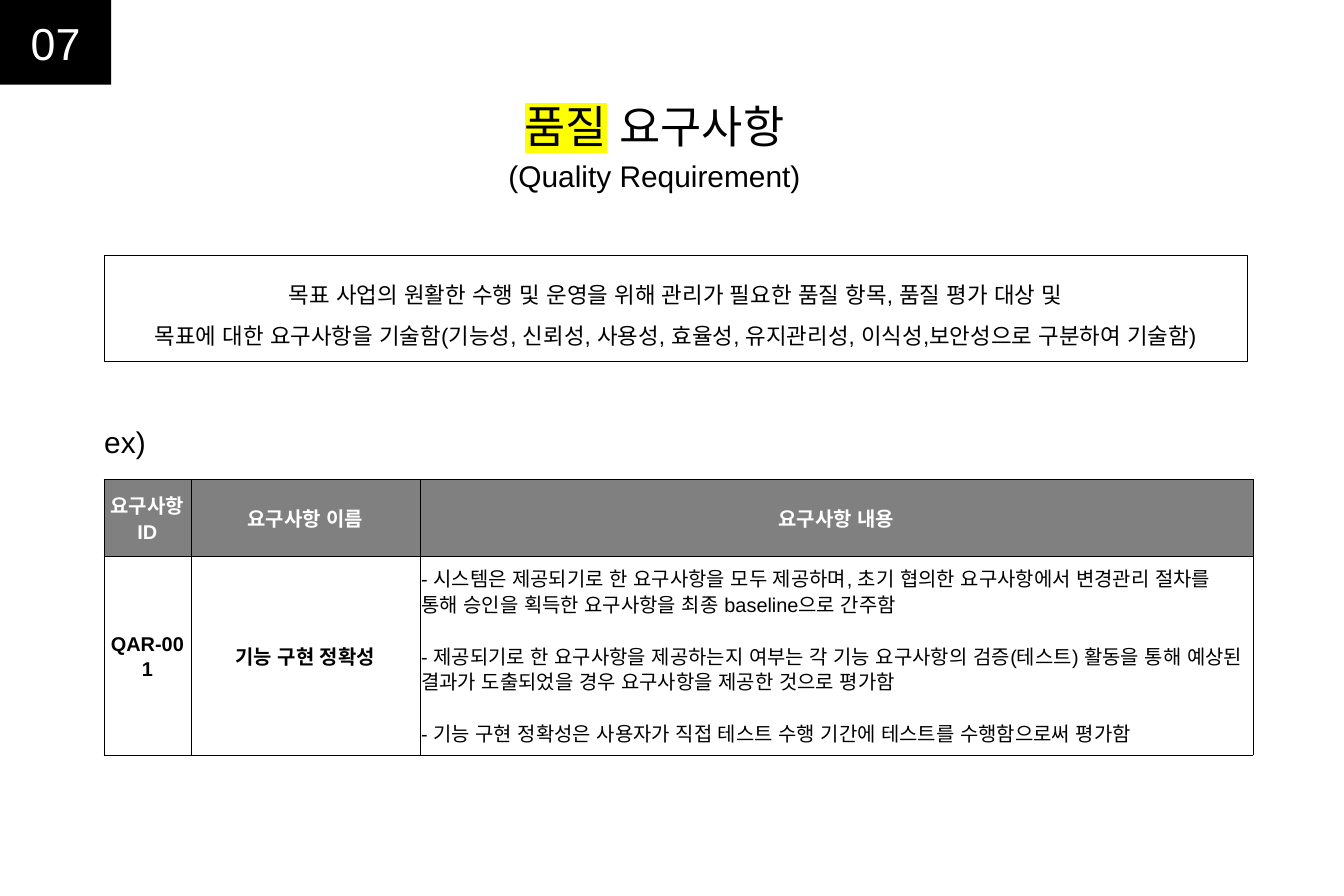
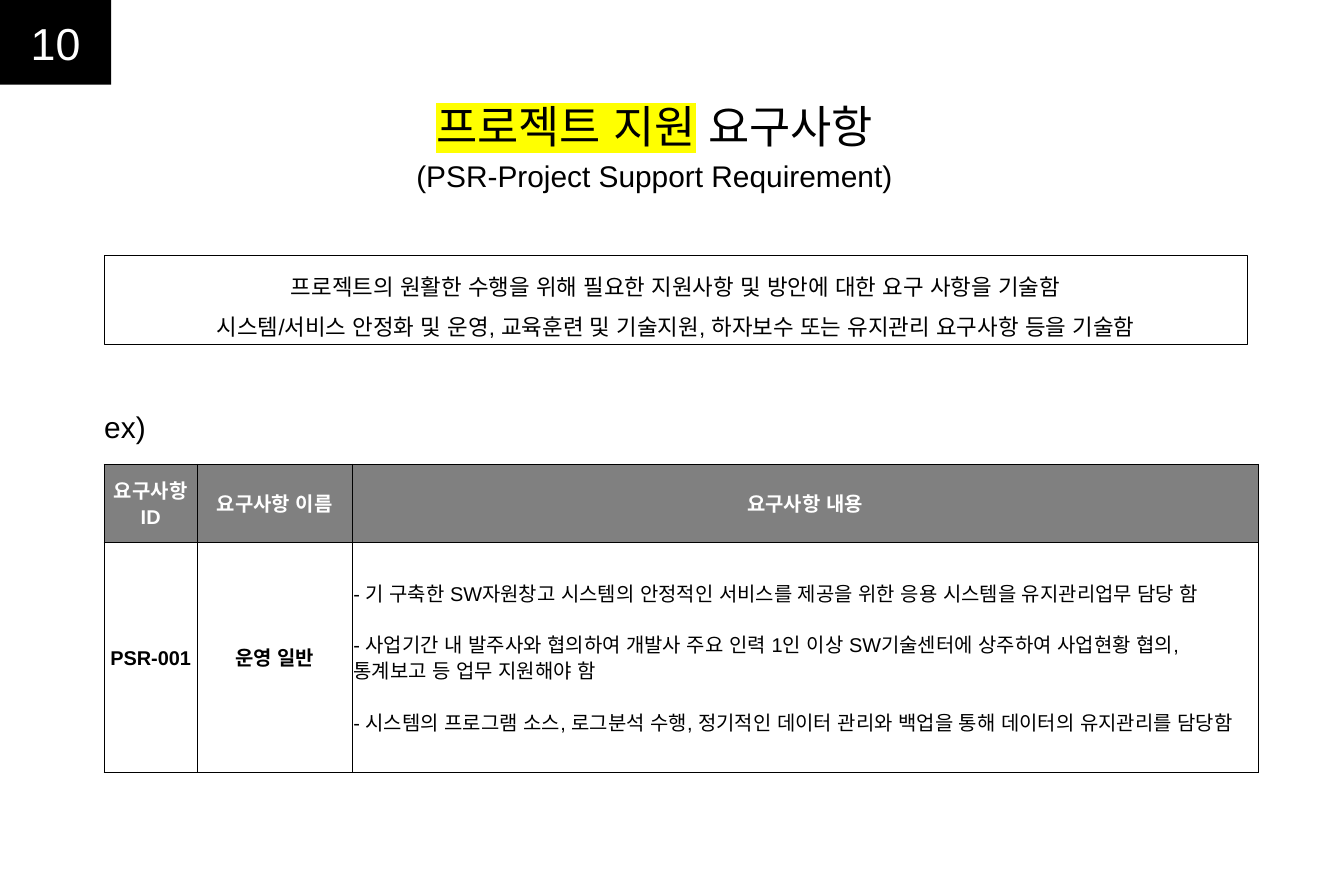
import pptx
import pptx.dml.color
import pptx.enum.shapes
import pptx.enum.text
import pptx.oxml
import pptx.oxml.ns
import pptx.util

Cm = pptx.util.Cm
Pt = pptx.util.Pt
RGB = pptx.dml.color.RGBColor.from_string
CENTER = pptx.enum.text.PP_ALIGN.CENTER
LEFT = pptx.enum.text.PP_ALIGN.LEFT
MIDDLE = pptx.enum.text.MSO_ANCHOR.MIDDLE
TOP = pptx.enum.text.MSO_ANCHOR.TOP
RECTANGLE = pptx.enum.shapes.MSO_SHAPE.RECTANGLE
NAMESPACE = pptx.oxml.ns.nsdecls("a")

THEME = {
    "font": "Arial",
    "black": "000000",
    "white": "FFFFFF",
    "header": "808080",
    "highlight": "FFFF00",
    "border": 0.75,
    "title": 72,
    "subtitle": 48,
    "summary": 36,
    "table": 32,
}

HEADERS = ["요구사항 ID", "요구사항 이름", "요구사항 내용"]
LEFT_EDGE = 5.89
EXAMPLE_HEIGHT = 3.4

SLIDES = [
    {
        "number": "07",
        "topic": "품질",
        "subtitle": "(Quality Requirement)",
        "summary": [
            "목표 사업의 원활한 수행 및 운영을 위해 관리가 필요한 품질 항목, 품질 평가 대상 및",
            "목표에 대한 요구사항을 기술함(기능성, 신뢰성, 사용성, 효율성, 유지관리성, 이식성,보안성으로 구분하여 기술함)",
        ],
        "summary_height": 6.05,
        "example_top": 23.77,
        "columns": [4.93, 12.98, 47.24],
        "rows": [4.37, 10.92],
        "id": "QAR-001",
        "name": "기능 구현 정확성",
        "details": [
            "- 시스템은 제공되기로 한 요구사항을 모두 제공하며, 초기 협의한 요구사항에서 변경관리 절차를 통해 승인을 획득한 요구사항을 최종 baseline으로 간주함",
            "- 제공되기로 한 요구사항을 제공하는지 여부는 각 기능 요구사항의 검증(테스트) 활동을 통해 예상된 결과가 도출되었을 경우 요구사항을 제공한 것으로 평가함",
            "- 기능 구현 정확성은 사용자가 직접 테스트 수행 기간에 테스트를 수행함으로써 평가함",
        ],
    },
    {
        "number": "10",
        "topic": "프로젝트 지원",
        "subtitle": "(PSR-Project Support Requirement)",
        "summary": [
            "프로젝트의 원활한 수행을 위해 필요한 지원사항 및 방안에 대한 요구 사항을 기술함",
            "시스템/서비스 안정화 및 운영, 교육훈련 및 기술지원, 하자보수 또는 유지관리 요구사항 등을 기술함",
        ],
        "summary_height": 5.08,
        "example_top": 22.91,
        "columns": [5.31, 8.76, 51.36],
        "rows": [4.42, 13.06],
        "id": "PSR-001",
        "name": "운영 일반",
        "details": [
            "- 기 구축한 SW자원창고 시스템의 안정적인 서비스를 제공을 위한 응용 시스템을 유지관리업무 담당 함",
            "- 사업기간 내 발주사와 협의하여 개발사 주요 인력 1인 이상 SW기술센터에 상주하여 사업현황 협의, 통계보고 등 업무 지원해야 함",
            "- 시스템의 프로그램 소스, 로그분석 수행, 정기적인 데이터 관리와 백업을 통해 데이터의 유지관리를 담당함",
        ],
    },
]


def write_text(frame, lines, size, color="black", bold=False, gap=0, **paragraph_format):
    """Write one paragraph per line, with a gap in points between paragraphs."""
    for index, line in enumerate(lines):
        paragraph = frame.paragraphs[0] if index == 0 else frame.add_paragraph()
        if index and gap:
            paragraph.space_before = Pt(gap)
        for name, value in paragraph_format.items():
            setattr(paragraph, name, value)
        run = paragraph.add_run()
        run.text = line
        style_run(run, size, color, bold)


def style_run(run, size, color="black", bold=False, highlight=None):
    """Set the font for Latin and Korean text, and mark the run if asked."""
    for name, value in {"name": THEME["font"], "size": Pt(THEME[size]), "bold": bold}.items():
        setattr(run.font, name, value)
    run.font.color.rgb = RGB(THEME[color])
    properties = run.font._element
    latin = properties.find(pptx.oxml.ns.qn("a:latin"))
    latin.addnext(pptx.oxml.parse_xml(f'<a:ea {NAMESPACE} typeface="{THEME["font"]}"/>'))
    if highlight:
        latin.addprevious(pptx.oxml.parse_xml(
            f'<a:highlight {NAMESPACE}><a:srgbClr val="{THEME[highlight]}"/></a:highlight>'))


presentation = pptx.Presentation()
presentation.slide_width = Cm(76.2)
presentation.slide_height = Cm(50.8)

for content in SLIDES:
    slide = presentation.slides.add_slide(presentation.slide_layouts[6])
    example_top = content["example_top"]

    # Text areas: position, inset, anchor
    title = slide.shapes.add_textbox(Cm(6.53), Cm(4.6), Cm(61.16), Cm(7.92))
    example = slide.shapes.add_textbox(Cm(5.66), Cm(example_top), Cm(7.82), Cm(EXAMPLE_HEIGHT))
    summary = slide.shapes.add_shape(
        RECTANGLE, Cm(LEFT_EDGE), Cm(14.45), Cm(64.82), Cm(content["summary_height"]))
    badge = slide.shapes.add_shape(RECTANGLE, 0, 0, Cm(6.3), Cm(4.8))
    for shape, inset, anchor in [(title, 0.53, TOP), (example, 0.25, TOP),
                                 (summary, 0.25, MIDDLE), (badge, 0.25, MIDDLE)]:
        frame_format = {"word_wrap": True, "vertical_anchor": anchor}
        for side in ("left", "right", "top", "bottom"):
            frame_format[f"margin_{side}"] = Cm(inset)
        for name, value in frame_format.items():
            setattr(shape.text_frame, name, value)

    summary.shadow.inherit = False
    summary.fill.background()
    summary.line.color.rgb = RGB(THEME["black"])
    summary.line.width = Pt(THEME["border"])
    badge.shadow.inherit = False
    badge.fill.solid()
    badge.fill.fore_color.rgb = RGB(THEME["black"])
    badge.line.fill.background()

    # Title with the topic marked
    write_text(title.text_frame, ["", content["subtitle"]], "subtitle",
               alignment=CENTER, line_spacing=1.15)
    heading = title.text_frame.paragraphs[0]
    topic = heading.runs[0]
    heading._p.remove(topic._r)
    for text, highlight in [(content["topic"], "highlight"), (" 요구사항", None)]:
        run = heading.add_run()
        run.text = text
        style_run(run, "title", highlight=highlight)

    write_text(example.text_frame, ["ex)"], "subtitle")
    write_text(summary.text_frame, content["summary"], "summary",
               alignment=CENTER, line_spacing=1.5)
    write_text(badge.text_frame, [content["number"]], "title", "white", alignment=CENTER)

    # Requirement table
    table = slide.shapes.add_table(
        2, 3, Cm(LEFT_EDGE), Cm(example_top + EXAMPLE_HEIGHT),
        Cm(sum(content["columns"])), Cm(sum(content["rows"]))).table
    table.first_row = False
    table.horz_banding = False
    for column, width in zip(table.columns, content["columns"]):
        column.width = Cm(width)
    for row, height in zip(table.rows, content["rows"]):
        row.height = Cm(height)

    body = [[content["id"]], [content["name"]], content["details"]]
    for row_index, row_lines in enumerate([[[header] for header in HEADERS], body]):
        for column_index, lines in enumerate(row_lines):
            cell = table.cell(row_index, column_index)
            is_header = row_index == 0
            is_detail = not is_header and column_index == 2
            cell_format = {"vertical_anchor": MIDDLE,
                           "margin_left": Cm(0.08), "margin_right": Cm(0.08),
                           "margin_top": Cm(0.25), "margin_bottom": Cm(0.25)}
            for name, value in cell_format.items():
                setattr(cell, name, value)
            if is_header:
                cell.fill.solid()
                cell.fill.fore_color.rgb = RGB(THEME["header"])
            else:
                cell.fill.background()
            properties = cell._tc.get_or_add_tcPr()
            for position, edge in enumerate(["lnL", "lnR", "lnT", "lnB"]):
                properties.insert(position, pptx.oxml.parse_xml(
                    f'<a:{edge} {NAMESPACE} w="{Pt(THEME["border"])}"><a:solidFill>'
                    f'<a:srgbClr val="{THEME["black"]}"/></a:solidFill></a:{edge}>'))
            write_text(cell.text_frame, lines, "table", "white" if is_header else "black",
                       bold=not is_detail, gap=42,
                       alignment=LEFT if is_detail else CENTER, line_spacing=1.15)

presentation.save("out.pptx")
